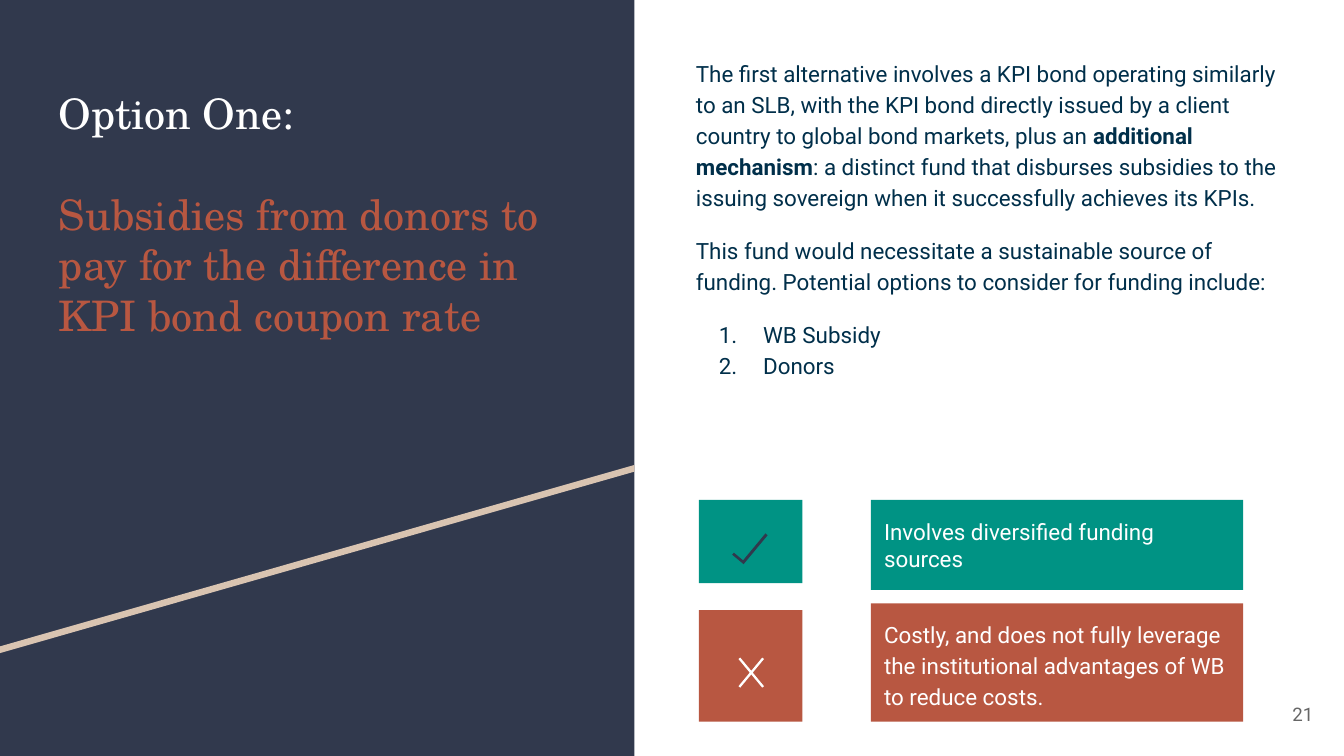
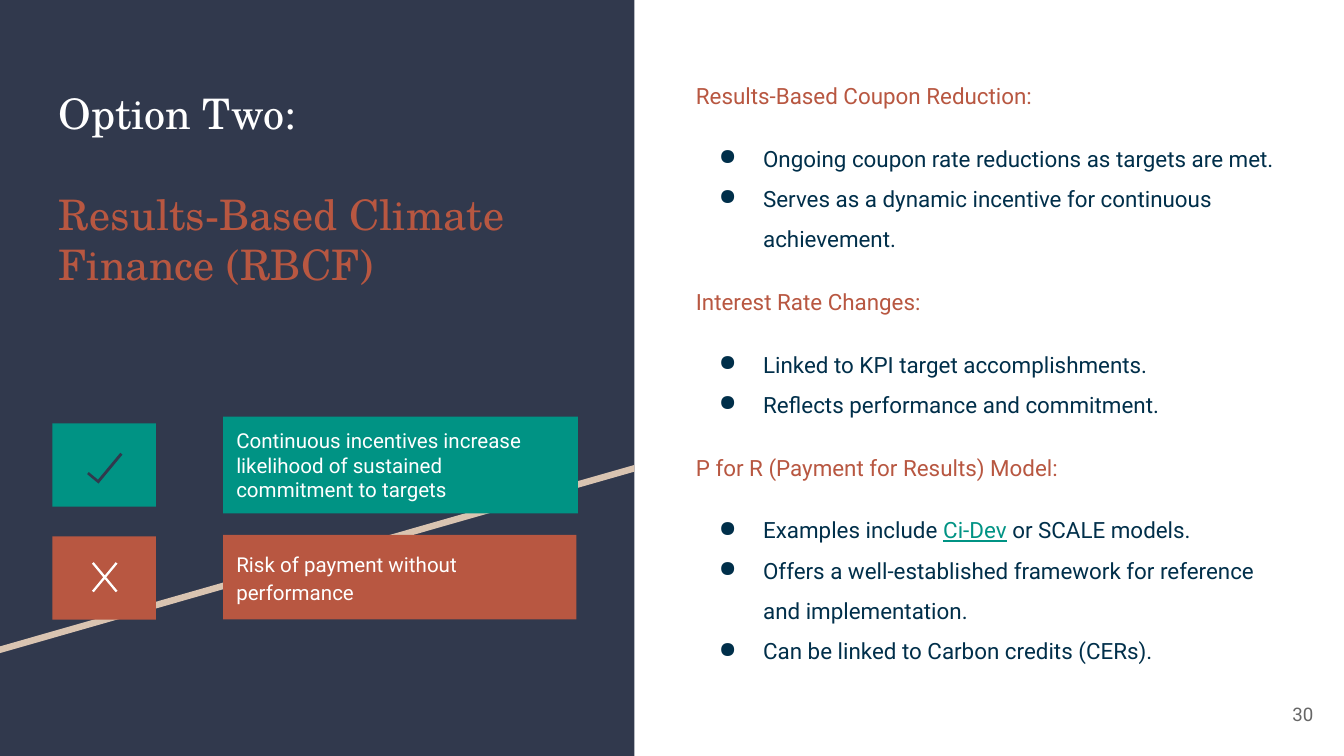
"""Build two option slides with a dark title panel, body text and pro and con cards."""
from dataclasses import dataclass

from lxml import etree
from pptx import Presentation
from pptx import util as u
from pptx.dml.color import RGBColor
from pptx.enum import shapes, text
from pptx.oxml.ns import qn


@dataclass(frozen=True)
class Theme:
    navy: str = "31394D"
    sand: str = "D9C4B1"
    rust: str = "B85741"
    teal: str = "009384"
    ink: str = "002F4A"
    grey: str = "666666"
    white: str = "FFFFFF"
    serif: str = "TeX Gyre Schola"
    sans: str = "Roboto"
    title: float = 22.5
    body: float = 12
    small: float = 11
    page: float = 10


T = Theme()
SHAPE = shapes.MSO_SHAPE
ANCHOR = text.MSO_ANCHOR
prs = Presentation()
prs.slide_width = u.Inches(10)
prs.slide_height = prs.slide_width * 9 // 16
COL = ROW = prs.slide_width // 100
PANEL = 47.2
PAD = 1


def add_box(s, at, fill=None, kind=SHAPE.RECTANGLE):
    """Place a shape, or a text box when there is no fill, on the grid."""
    x, y, w, h = at
    grid = [u.Emu(int(n)) for n in (x * COL, y * ROW, w * COL, h * ROW)]
    if fill is None:
        return s.shapes.add_textbox(*grid)
    sp = s.shapes.add_shape(kind, *grid)
    sp.shadow.inherit = False
    sp.fill.solid()
    sp.fill.fore_color.rgb = RGBColor.from_string(fill)
    sp.line.fill.background()
    return sp


def write(sp, paragraphs, size, font=T.sans, spacing=None, anchor=ANCHOR.TOP,
          align=text.PP_ALIGN.LEFT):
    """Fill a shape with paragraphs of (space before, bullet, runs)."""
    tf = sp.text_frame
    tf.word_wrap = True
    tf.vertical_anchor = anchor
    tf.margin_left = tf.margin_right = tf.margin_top = tf.margin_bottom = PAD * COL
    for i, (before, bullet, runs) in enumerate(paragraphs):
        p = tf.paragraphs[0] if i == 0 else tf.add_paragraph()
        p.alignment = align
        if spacing:
            p.line_spacing = spacing
        if before:
            p.space_before = u.Pt(before)
        if bullet:
            pPr = p._p.get_or_add_pPr()
            pPr.set("marL", str(int(5 * COL)))
            pPr.set("indent", str(int(-3.3 * COL)))
            clr = etree.SubElement(pPr, qn("a:buClr"))
            etree.SubElement(clr, qn("a:srgbClr"), val=T.ink)
            if bullet == "1.":
                etree.SubElement(pPr, qn("a:buAutoNum"), type="arabicPeriod")
            else:
                etree.SubElement(pPr, qn("a:buChar"), char=bullet)
        for words, color, *style in runs:
            r = p.add_run()
            r.text = words
            r.font.name = font
            r.font.size = u.Pt(size)
            r.font.color.rgb = RGBColor.from_string(color)
            if "bold" in style:
                r.font.bold = True
            if "underline" in style:
                r.font.underline = True


fund_text = [
    (0, None, [
        ("The first alternative involves a KPI bond operating similarly to an SLB, with the "
         "KPI bond directly issued by a client country to global bond markets, plus an ", T.ink),
        ("additional mechanism", T.ink, "bold"),
        (": a distinct fund that disburses subsidies to the issuing sovereign when it "
         "successfully achieves its KPIs.", T.ink)]),
    (T.body, None, [
        ("This fund would necessitate a sustainable source of funding. Potential options to "
         "consider for funding include:", T.ink)]),
    (T.body, "1.", [("WB Subsidy", T.ink)]),
    (0, "1.", [("Donors", T.ink)]),
]

sections = {
    "Results-Based Coupon Reduction:": [
        [("Ongoing coupon rate reductions as targets are met.", T.ink)],
        [("Serves as a dynamic incentive for continuous achievement.", T.ink)]],
    "Interest Rate Changes:": [
        [("Linked to KPI target accomplishments.", T.ink)],
        [("Reflects performance and commitment.", T.ink)]],
    "P for R (Payment for Results) Model:": [
        [("Examples include ", T.ink), ("Ci-Dev", T.teal, "underline"),
         (" or SCALE models.", T.ink)],
        [("Offers a well-established framework for reference and implementation.", T.ink)],
        [("Can be linked to Carbon credits (CERs).", T.ink)]],
}
results_text = []
for heading, points in sections.items():
    results_text.append((T.body if results_text else 0, None, [(heading, T.rust)]))
    for i, runs in enumerate(points):
        results_text.append((0 if i else T.body, "●", runs))

options = [
    dict(name="Option One:",
         title="Subsidies from donors to pay for the difference in KPI bond coupon rate",
         body=fund_text, body_at=(50.8, 3.2, 45.6, 53), spacing=1.15, size=T.body, page="21",
         pro="Involves diversified funding sources", pro_at=(64.8, 37.2, 27.7, 6.7),
         con="Costly, and does not fully leverage the institutional advantages of WB "
             "to reduce costs.", con_at=(64.8, 44.9, 27.7, 8.8),
         tick_box=(52, 37.2, 7.7, 6.2), tick=(54.4, 40, 2.8, 1.1),
         cross_box=(52, 45.4, 7.7, 8.3), cross=(54.2, 48, 3.4, 4.1)),
    dict(name="Option Two:", title="Results-Based Climate Finance (RBCF)",
         body=results_text, body_at=(50.8, 4.1, 45.6, 47.1), spacing=1.5, size=T.small, page="30",
         pro="Continuous incentives increase likelihood of sustained commitment to targets",
         pro_at=(16.6, 31, 26.4, 7.2),
         con="Risk of payment without performance", con_at=(16.6, 39.8, 26.3, 6.3),
         tick_box=(3.9, 31.5, 7.7, 6.2), tick=(6.4, 34, 2.8, 1.1),
         cross_box=(3.9, 39.9, 7.7, 6.2), cross=(6.1, 40.9, 3.4, 4.1)),
]

for o in options:
    s = prs.slides.add_slide(prs.slide_layouts[6])

    add_box(s, (0, 0, PANEL, 56.25), T.navy)
    band = s.shapes.build_freeform(0, int(48.1 * ROW))
    band.add_line_segments([(int(x * COL), int(y * ROW)) for x, y in
                            ((PANEL, 34.6), (PANEL, 35.1), (0, 48.6))])
    sp = band.convert_to_shape()
    sp.shadow.inherit = False
    sp.fill.solid()
    sp.fill.fore_color.rgb = RGBColor.from_string(T.sand)
    sp.line.fill.background()

    write(add_box(s, (3.4, 5.5, 40.5, 30)),
          [(0, None, [(o["name"], T.white)]), (1.2 * T.title, None, [(o["title"], T.rust)])],
          T.title, T.serif)
    write(add_box(s, o["body_at"]), o["body"], T.body, spacing=o["spacing"])

    write(add_box(s, o["con_at"], T.rust), [(0, None, [(o["con"], T.white)])],
          o["size"], spacing=1.15)
    write(add_box(s, o["pro_at"], T.teal), [(0, None, [(o["pro"], T.white)])],
          o["size"], anchor=ANCHOR.MIDDLE)

    add_box(s, o["cross_box"], T.rust)
    add_box(s, o["tick_box"], T.teal)
    tick = add_box(s, o["tick"], T.navy, SHAPE.CORNER)
    tick.rotation = 309.7
    tick.adjustments[0], tick.adjustments[1] = 0.19, 0.18
    cross = add_box(s, o["cross"], T.white, SHAPE.MATH_MULTIPLY)
    cross.adjustments[0] = 0.05

    write(add_box(s, (92.7, 51, 6, 4.3)), [(0, None, [(o["page"], T.grey)])], T.page,
          anchor=ANCHOR.MIDDLE, align=text.PP_ALIGN.RIGHT)

prs.save("out.pptx")
